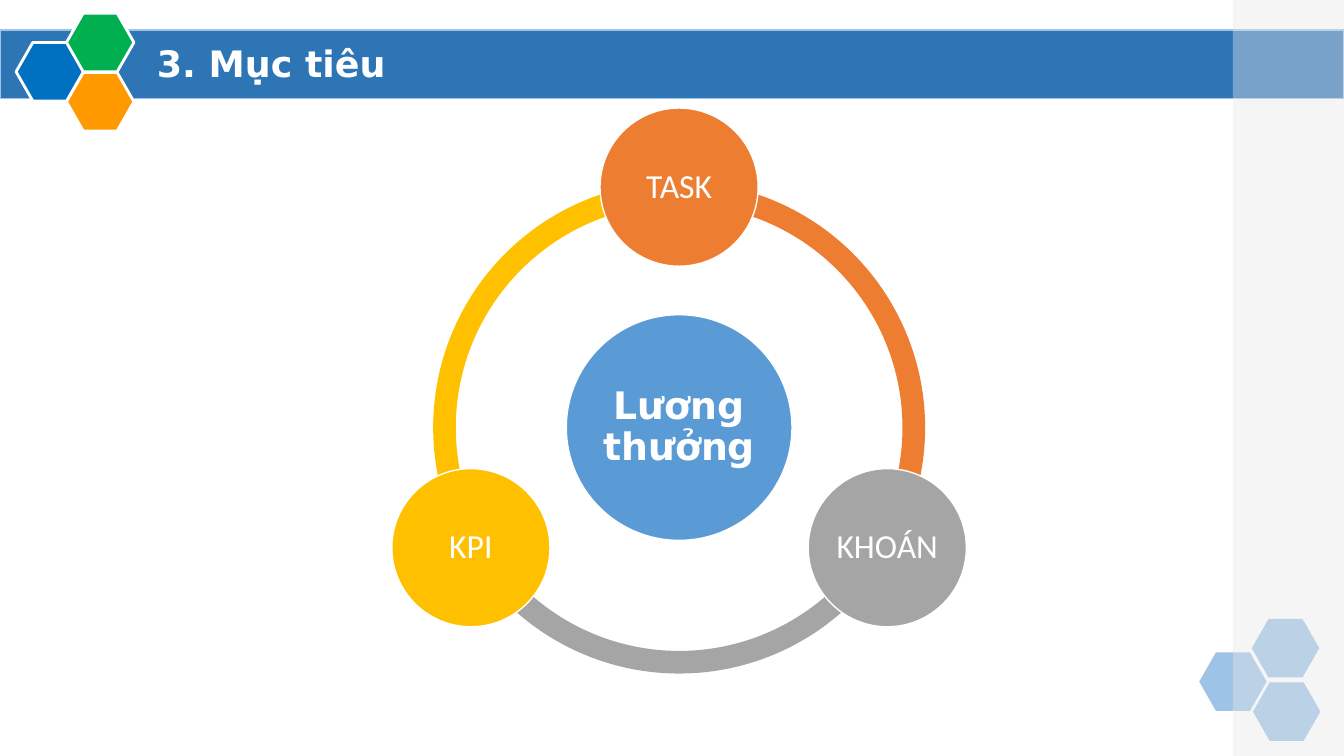
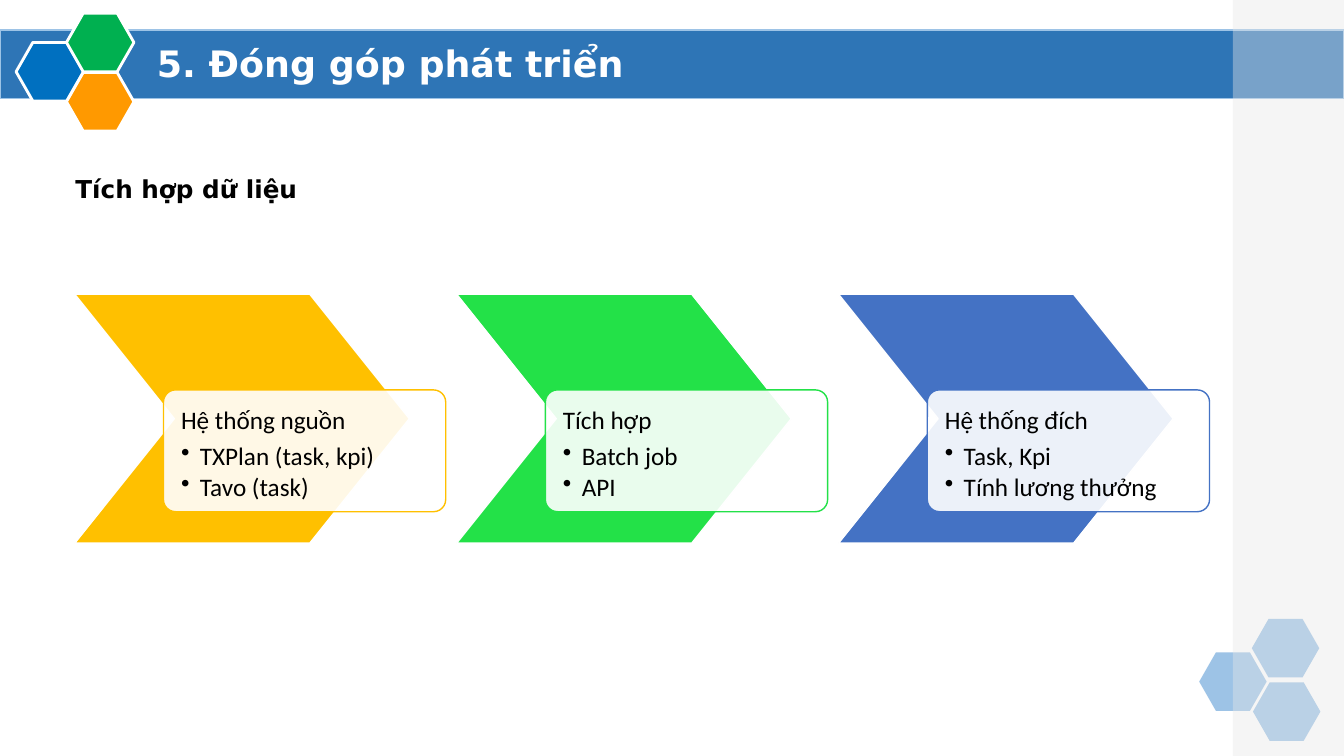
from math import cos, radians, sin

from lxml.etree import SubElement
from pptx import Presentation
from pptx.dml.color import RGBColor
from pptx.enum.shapes import MSO_SHAPE as Preset
from pptx.enum.text import MSO_ANCHOR as Anchor, PP_ALIGN as Align
from pptx.oxml.ns import qn
from pptx.util import Pt

WIDTH, HEIGHT = 960, 540
WHITE, BLACK = "FFFFFF", "000000"
BLUE, PALE_BLUE, PALE_GREY = "2E75B6", "9DC3E6", "E7E6E6"
ORANGE, GREY, YELLOW = "ED7D31", "A5A5A5", "FFC000"
HEADING_FONT, BODY_FONT = "DejaVu Sans", "Calibri"


def set_color(color_format, hex_code):
    color_format.rgb = RGBColor.from_string(hex_code)


def write_para(para, text, size=18, font=BODY_FONT, color=BLACK, bold=False,
               align=Align.LEFT, spacing=1.0, after=0, bullet=None, indent=13.5):
    para.alignment = align
    para.line_spacing = spacing
    para.space_after = Pt(after)
    span = para.add_run()
    span.text = text
    span.font.size, span.font.name, span.font.bold = Pt(size), font, bold
    set_color(span.font.color, color)
    if bullet:
        props = para._p.get_or_add_pPr()
        props.set("marL", str(Pt(indent)))
        props.set("indent", str(-Pt(indent)))
        SubElement(props, qn("a:buChar")).set("char", bullet)


class SlideBuilder:
    """Holds the deck, the current page and the shared style."""

    def __init__(self):
        self.deck = Presentation()
        self.deck.slide_width, self.deck.slide_height = Pt(WIDTH), Pt(HEIGHT)
        self.page = None

    def shape(self, preset, left, top, width, height, fill, alpha=None,
              line=None, line_width=1, adjust=()):
        shape = self.page.shapes.add_shape(
            preset, Pt(left), Pt(top), Pt(width), Pt(height))
        shape.shadow.inherit = False
        shape.fill.solid()
        set_color(shape.fill.fore_color, fill)
        if alpha is not None:
            code = shape.fill._xPr.find(".//" + qn("a:srgbClr"))
            SubElement(code, qn("a:alpha")).set("val", str(alpha * 1000))
        if line:
            set_color(shape.line.color, line)
            shape.line.width = Pt(line_width)
        else:
            shape.line.fill.background()
        for index, value in enumerate(adjust):
            shape.adjustments[index] = value
        return shape

    def fill_text(self, shape, paras, inset, anchor=Anchor.MIDDLE):
        frame = shape.text_frame
        frame.word_wrap = True
        frame.vertical_anchor = anchor
        frame.margin_left = frame.margin_right = Pt(inset)
        frame.margin_top = frame.margin_bottom = Pt(inset)
        for index, (text, style) in enumerate(paras):
            para = frame.add_paragraph() if index else frame.paragraphs[0]
            write_para(para, text, **style)

    def text(self, left, top, width, height, text, **style):
        box = self.page.shapes.add_textbox(Pt(left), Pt(top), Pt(width), Pt(height))
        frame = box.text_frame
        frame.word_wrap = True
        write_para(frame.paragraphs[0], text, font=HEADING_FONT, bold=True, **style)

    def hexagon(self, left, top, fill, **outline):
        self.shape(Preset.HEXAGON, left, top, 48.2, 41.8, fill,
                   adjust=(0.286,), **outline)

    def new_page(self, title):
        self.page = self.deck.slides.add_slide(self.deck.slide_layouts[6])
        # Title band, faded hexagons and the side strip over them
        self.shape(Preset.RECTANGLE, 0, 21.5, WIDTH, 48.8, BLUE, line=PALE_BLUE)
        for left, top in ((894.2, 442.1), (856.6, 466), (895, 487.4)):
            self.hexagon(left, top, PALE_BLUE)
        self.shape(Preset.RECTANGLE, 880.6, 0, WIDTH - 880.6, HEIGHT,
                   PALE_GREY, alpha=40)
        # Bright hexagons and title
        for left, top, fill in ((11.5, 30.3, "0070C0"), (47.5, 51.8, "FF9900"),
                                (47.5, 9.4, "00B050")):
            self.hexagon(left, top, fill, line=WHITE, line_width=2)
        self.text(105, 25.9, 778, 38.9, title, size=26, color=WHITE)

    def circle(self, x, y, diameter, fill, label, inset, **style):
        circle = self.shape(Preset.OVAL, x - diameter / 2, y - diameter / 2,
                            diameter, diameter, fill, line=WHITE)
        style = dict(color=WHITE, align=Align.CENTER, spacing=0.9) | style
        self.fill_text(circle, [(label, style)], inset)

    def ring(self, x, y, hub, nodes):
        """Draws a hub circled by nodes, each with the arc that leads on from it."""
        size, radius, step = 351.4, 171.7, 360 / len(nodes)
        placed = [(label, fill, (270 + index * step) % 360)
                  for index, (label, fill) in enumerate(nodes)]
        for _, fill, angle in placed:
            # Angles are 60000ths of a degree, adjustments 100000ths
            ends = [turn % 360 * 0.6 for turn in (angle, angle + step)]
            self.shape(Preset.BLOCK_ARC, x - size / 2, y - size / 2, size, size,
                       fill, adjust=(*ends, 0.046))
        self.circle(x, y, 161.2, "5B9BD5", hub, 2.7, size=27,
                    font=HEADING_FONT, bold=True)
        for label, fill, angle in placed:
            self.circle(x + radius * cos(radians(angle)),
                        y + radius * sin(radians(angle)),
                        113, fill, label, 2.4, size=24)

    def step(self, left, top, fill, heading, items):
        """Draws a chevron with a see-through card over its lower right."""
        self.shape(Preset.CHEVRON, left, top, 239, 177.8, fill, line=WHITE,
                   adjust=(0.4,))
        card = self.shape(Preset.ROUNDED_RECTANGLE, left + 63.4, top + 68.3,
                          201.6, 87, WHITE, alpha=90, line=fill, adjust=(0.1,))
        paras = [(heading, dict(spacing=0.9, after=6.3))]
        paras += [(item, dict(spacing=0.9, after=2.7, bullet="•")) for item in items]
        self.fill_text(card, paras, 10, Anchor.TOP)


def main():
    slides = SlideBuilder()

    # Goals: pay and bonus ring
    slides.new_page("3. Mục tiêu")
    slides.ring(485.1, 305.4, "Lương thưởng",
                [("TASK", ORANGE), ("KHOÁN", GREY), ("KPI", YELLOW)])

    # Development: data integration steps
    slides.new_page("5. Đóng góp phát triển")
    slides.text(46.8, 89.3, 869.8, 437, "Tích hợp dữ liệu", size=17.6, spacing=2.5)
    steps = [
        (YELLOW, "Hệ thống nguồn", ["TXPlan (task, kpi)", "Tavo (task)"]),
        ("23E148", "Tích hợp", ["Batch job", "API"]),
        ("4472C4", "Hệ thống đích", ["Task, Kpi", "Tính lương thưởng"]),
    ]
    for index, (fill, heading, items) in enumerate(steps):
        slides.step(53.4 + index * 272.8, 210.2, fill, heading, items)

    slides.deck.save("out.pptx")


if __name__ == "__main__":
    main()
